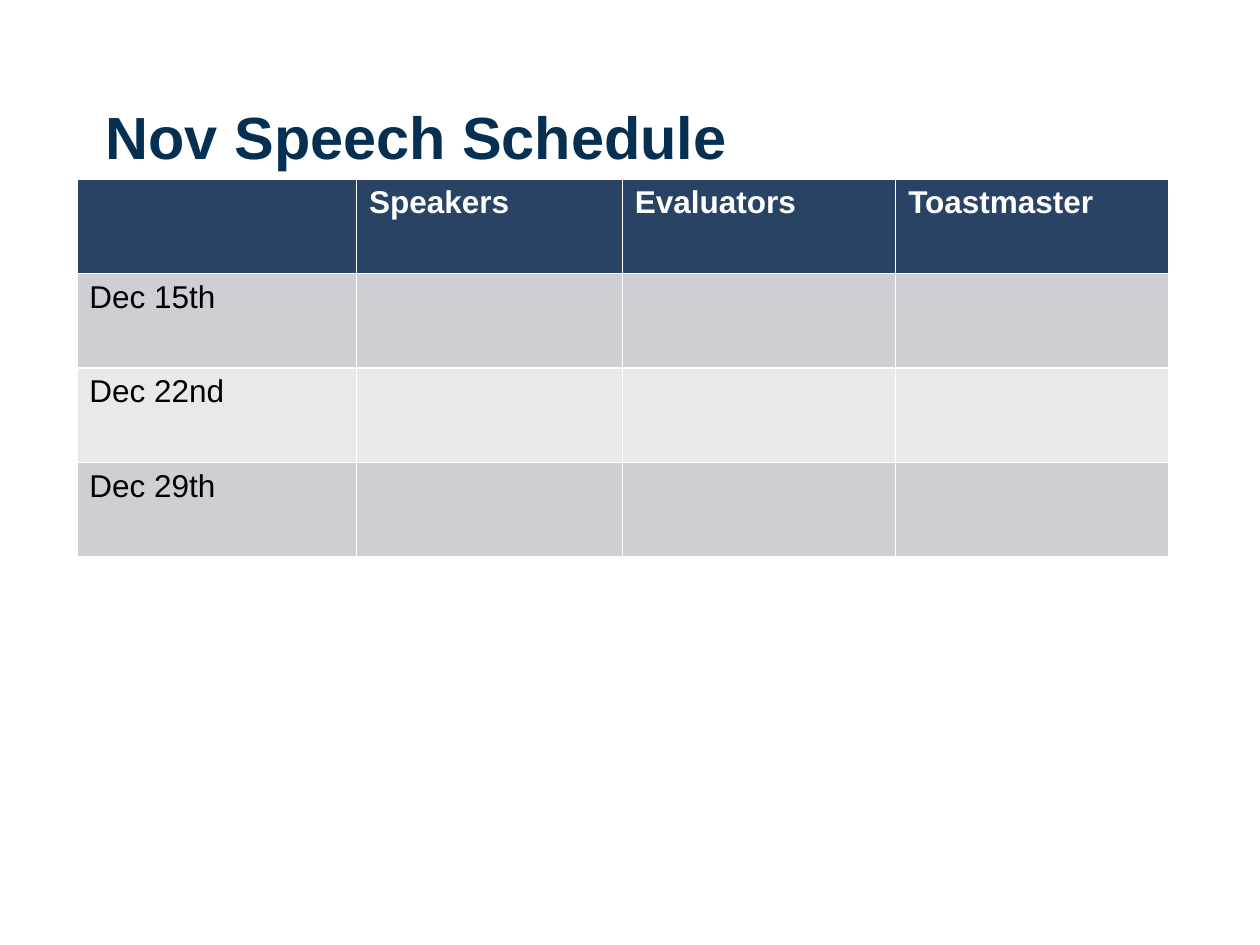
"""Build a speech schedule slide with a title and a table."""
from pptx import Presentation
from pptx.dml.color import RGBColor
from pptx.enum.text import MSO_ANCHOR, PP_ALIGN
from pptx.util import Inches, Pt

MIDDLE = MSO_ANCHOR.MIDDLE
LEFT = PP_ALIGN.LEFT

TITLE = "Nov Speech Schedule"
ROWS = [
    ["", "Speakers", "Evaluators", "Toastmaster"],
    ["Dec 15th", "", "", ""],
    ["Dec 22nd", "", "", ""],
    ["Dec 29th", "", "", ""],
]
COL_WIDTHS = [2.22, 2.11, 2.17, 2.17]
ROW_HEIGHT = 0.75
HEADER_FILL = "294364"
BAND_FILLS = ["E8E9EA", "CDCFD3"]


def rgb(value):
    """Return the colour for a hex string."""
    return RGBColor.from_string(value)


def add_run(p, text, size, color, bold):
    """Add one formatted run to a paragraph."""
    r = p.add_run()
    r.text = text
    r.font.name = "Arial"
    r.font.size = Pt(size)
    r.font.bold = bold
    r.font.color.rgb = rgb(color)


def add_title(s):
    """Place and format the title placeholder."""
    sp = s.shapes.title
    sp.left, sp.top = Inches(0.74), Inches(0.45)
    sp.width, sp.height = Inches(8.42), Inches(1.25)
    tf = sp.text_frame
    tf.vertical_anchor = MIDDLE
    p = tf.paragraphs[0]
    p.alignment = LEFT
    add_run(p, TITLE, 34, "063052", True)


def add_schedule(s):
    """Add the schedule table with a header row and banded body rows."""
    table = s.shapes.add_table(
        len(ROWS), len(COL_WIDTHS), Inches(0.61), Inches(1.42),
        Inches(sum(COL_WIDTHS)), Inches(ROW_HEIGHT * len(ROWS))).table
    for col, width in zip(table.columns, COL_WIDTHS):
        col.width = Inches(width)
    for i, texts in enumerate(ROWS):
        table.rows[i].height = Inches(ROW_HEIGHT)
        header = i == 0
        for j, text in enumerate(texts):
            cell = table.cell(i, j)
            cell.fill.solid()
            cell.fill.fore_color.rgb = rgb(HEADER_FILL if header else BAND_FILLS[i % 2])
            if text:
                add_run(cell.text_frame.paragraphs[0], text, 18,
                        "FFFFFF" if header else "000000", header)


def main():
    """Build and save the slide."""
    prs = Presentation()
    prs.slide_width, prs.slide_height = Inches(10), Inches(7.5)
    s = prs.slides.add_slide(prs.slide_layouts[5])
    add_title(s)
    add_schedule(s)
    prs.save("out.pptx")


if __name__ == "__main__":
    main()
